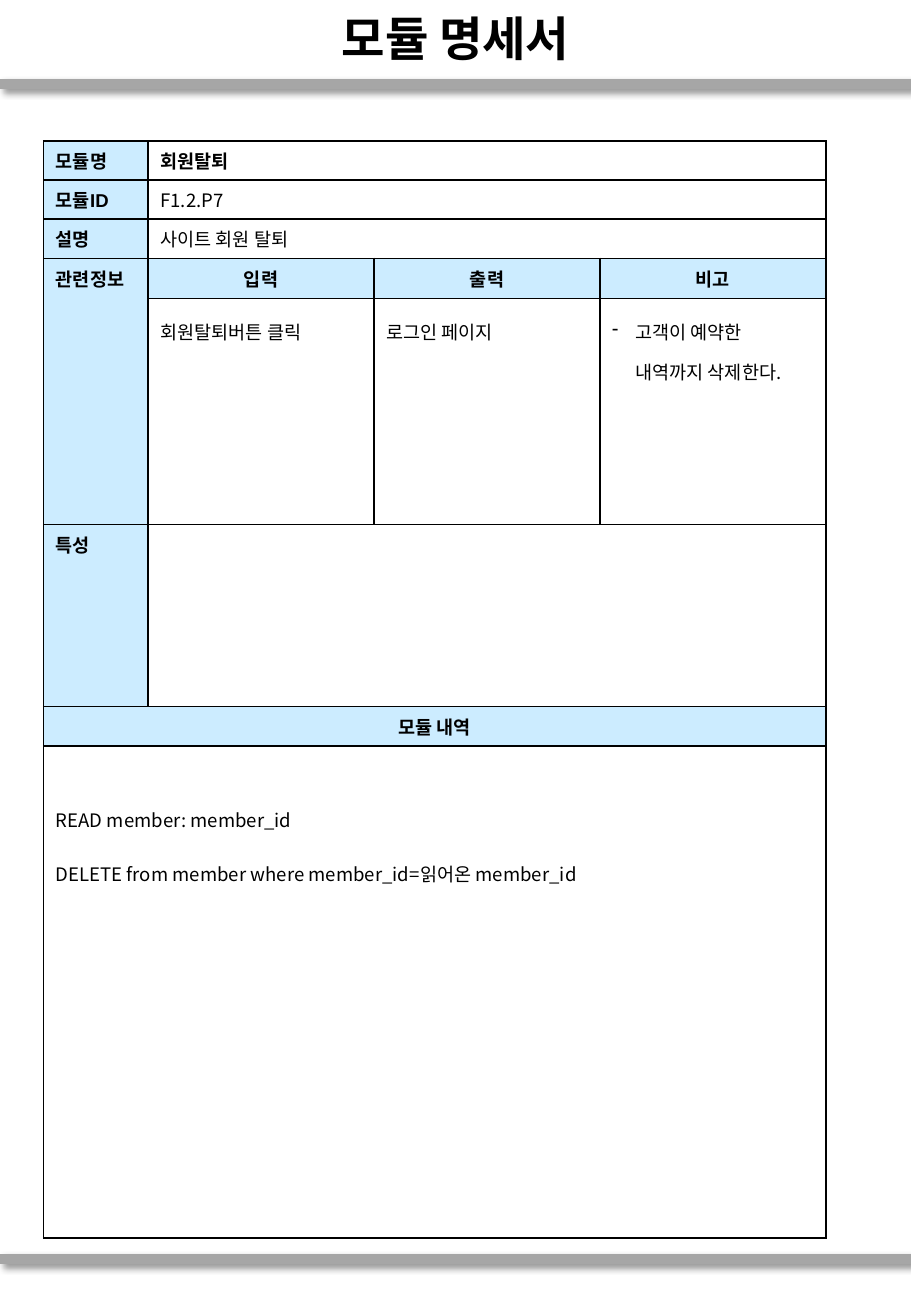
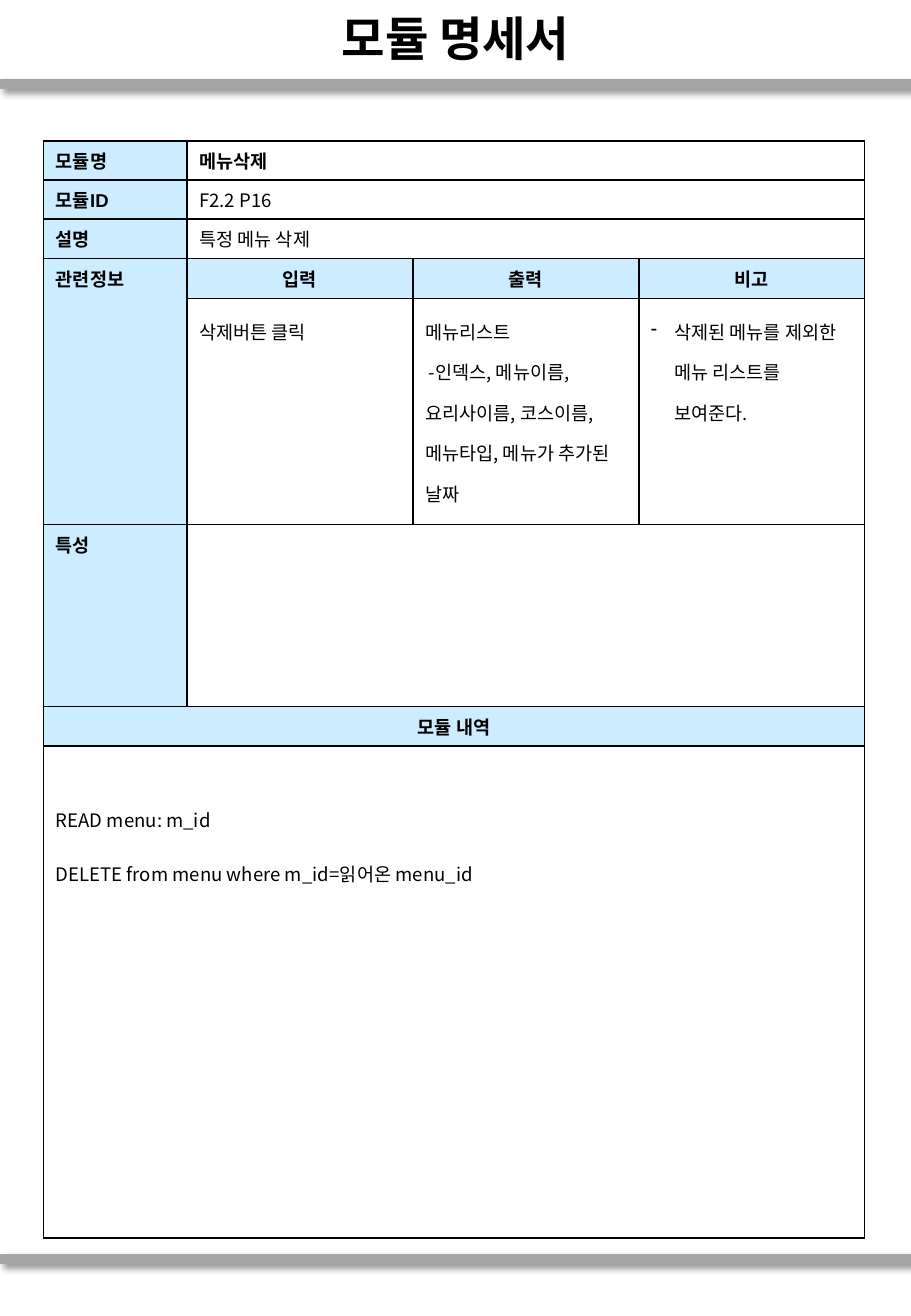
import dataclasses
from typing import Any

import lxml.etree as etree
import pptx
import pptx.dml.color
import pptx.enum.shapes
import pptx.enum.text
import pptx.oxml.ns
import pptx.util

In = pptx.util.Inches
Pt = pptx.util.Pt
qn = pptx.oxml.ns.qn
RGBColor = pptx.dml.color.RGBColor
ALIGN = pptx.enum.text.PP_ALIGN

# Shared look
BLACK = RGBColor(0x00, 0x00, 0x00)
WHITE = RGBColor(0xFF, 0xFF, 0xFF)
GRAY = RGBColor(0xA6, 0xA6, 0xA6)
SKY = RGBColor(0xCC, 0xEC, 0xFF)
KOREAN, LATIN = "Noto Sans CJK KR", "Arial"
WIDTH, HEIGHT = 7.5, 10.83
BAND_TOPS = (0.69, 10.36)

# Table grid
LEFT, TOP = 0.36, 1.16
INFO_WIDTH = 1.86
LINE_ROW = 0.32
ROWS = [LINE_ROW] * 3 + [0.33, 1.86, 1.5, LINE_ROW, 4.05]

# Text formats
TITLE = {"size": Pt(28), "bold": True, "name": KOREAN}
LABEL = {"size": Pt(11), "bold": True, "name": LATIN}
NAME = LABEL | {"name": KOREAN}
BODY = NAME | {"bold": False}


@dataclasses.dataclass
class Line:
    text: str
    spacing: float = 1.0
    indent: float = 0
    bullet: str = ""


@dataclasses.dataclass
class Area:
    row: int
    col: int
    lines: list[Line]
    style: dict[str, Any]
    rows: int = 1
    cols: int = 1
    fill: RGBColor = WHITE
    align: Any = ALIGN.LEFT
    top: float = 0.05


@dataclasses.dataclass
class Module:
    label_width: float
    name: str
    code: str
    summary: str
    source: list[Line]
    result: list[Line]
    remark: str
    steps: list[str]


MODULES = [
    Module(0.86, "회원탈퇴", "F1.2.P7", "사이트 회원 탈퇴",
           [Line("회원탈퇴버튼 클릭", 1.5)],
           [Line("로그인 페이지", 1.5)],
           "고객이 예약한 내역까지 삭제한다.",
           ["READ member: member_id",
            "DELETE from member where member_id=읽어온 member_id"]),
    Module(1.18, "메뉴삭제", "F2.2 P16", "특정 메뉴 삭제",
           [Line("삭제버튼 클릭", 1.5)],
           [Line("메뉴리스트", 1.5),
            Line("-인덱스, 메뉴이름, 요리사이름, 코스이름,메뉴타입, 메뉴가 추가된 날짜",
                 1.5, indent=0.03)],
           "삭제된 메뉴를 제외한 메뉴 리스트를 보여준다.",
           ["READ menu: m_id",
            "DELETE from menu where m_id=읽어온 menu_id"]),
]


def add_node(parent: Any, tag: str, **attrs: Any) -> Any:
    return etree.SubElement(parent, qn(tag), {k: str(v) for k, v in attrs.items()})


def write(p: Any, text: str, style: dict[str, Any]) -> None:
    r = p.add_run()
    r.text = text
    for key, value in style.items():
        setattr(r.font, key, value)
    r.font.color.rgb = BLACK
    add_node(r.font._element, "a:ea", typeface=KOREAN)


def set_indent(p: Any, line: Line) -> None:
    pPr = p._p.get_or_add_pPr()
    if line.bullet:
        pPr.set("marL", str(In(-line.indent)))
        add_node(pPr, "a:buChar", char=line.bullet)
    pPr.set("indent", str(In(line.indent)))


def add_band(slide: Any, layout: Any, y: float, shape_id: int) -> None:
    """Draw a shadowed rule and move it to the layout."""
    c = slide.shapes.add_connector(
        pptx.enum.shapes.MSO_CONNECTOR.STRAIGHT, 0, In(y), In(WIDTH), In(y))
    c.line.color.rgb = GRAY
    c.line.width = Pt(6)
    effects = add_node(c.element.spPr, "a:effectLst")
    shadow = add_node(effects, "a:outerShdw", blurRad=Pt(4), dist=Pt(3),
                      dir=45 * 60000, algn="tl", rotWithShape=0)
    add_node(add_node(shadow, "a:srgbClr", val=BLACK), "a:alpha", val=40000)
    c.element.nvCxnSpPr.cNvPr.set("id", str(shape_id))
    layout.shapes.element.append(c.element)


def frame_cell(cell: Any) -> None:
    tcPr = cell._tc.get_or_add_tcPr()
    for side in ("L", "R", "T", "B"):
        border = add_node(tcPr, f"a:ln{side}", w=Pt(1))
        add_node(add_node(border, "a:solidFill"), "a:srgbClr", val=BLACK)
    cell.fill.solid()
    cell.fill.fore_color.rgb = WHITE
    add_node(cell.text_frame.paragraphs[0]._p, "a:endParaRPr", sz=1100)


def fill_area(table: Any, area: Area) -> None:
    cell = table.cell(area.row, area.col)
    if area.rows * area.cols > 1:
        cell.merge(table.cell(area.row + area.rows - 1, area.col + area.cols - 1))
    cell.fill.fore_color.rgb = area.fill
    cell.margin_top = In(area.top)
    tf = cell.text_frame
    for i, line in enumerate(area.lines):
        p = tf.add_paragraph() if i else tf.paragraphs[0]
        p.alignment = area.align
        p.line_spacing = line.spacing
        if line.indent:
            set_indent(p, line)
        write(p, line.text, area.style)


def module_areas(m: Module) -> list[Area]:
    areas = []
    # Name, number and summary
    heads = [("모듈명", m.name, NAME), ("모듈ID", m.code, BODY), ("설명", m.summary, BODY)]
    for row, (label, value, style) in enumerate(heads):
        areas += [Area(row, 0, [Line(label)], LABEL, fill=SKY),
                  Area(row, 1, [Line(value)], style, cols=3)]
    # Related information
    areas.append(Area(3, 0, [Line("관련정보")], LABEL, rows=2, fill=SKY))
    remark = [Line(m.remark, 1.5, indent=-0.19, bullet="-")]
    infos = [("입력", m.source), ("출력", m.result), ("비고", remark)]
    for col, (label, lines) in enumerate(infos, start=1):
        areas += [Area(3, col, [Line(label)], LABEL, fill=SKY, align=ALIGN.CENTER),
                  Area(4, col, lines, BODY)]
    # Traits and steps
    areas += [
        Area(5, 0, [Line("특성")], LABEL, fill=SKY),
        Area(5, 1, [], BODY, cols=3),
        Area(6, 0, [Line("모듈 내역")], LABEL, cols=4, fill=SKY, align=ALIGN.CENTER),
        Area(7, 0, [Line(s, 2.0) for s in m.steps], BODY, cols=4, top=0.27),
    ]
    return areas


def add_module(slide: Any, m: Module) -> None:
    p = slide.shapes.title.text_frame.paragraphs[0]
    p.alignment = ALIGN.CENTER
    write(p, "모듈 명세서", TITLE)

    cols = [m.label_width] + [INFO_WIDTH] * 3
    table = slide.shapes.add_table(len(ROWS), len(cols), In(LEFT), In(TOP),
                                   In(sum(cols)), In(sum(ROWS))).table
    table.first_row = table.horz_banding = False
    for column, width in zip(table.columns, cols):
        column.width = In(width)
    for row, height in zip(table.rows, ROWS):
        row.height = In(height)
    for cell in table.iter_cells():
        frame_cell(cell)
    for area in module_areas(m):
        fill_area(table, area)


def main() -> None:
    prs = pptx.Presentation()
    prs.slide_width, prs.slide_height = In(WIDTH), In(HEIGHT)
    layout = prs.slide_layouts[5]

    # Shared title place and bands
    title = layout.placeholders[0]
    title.left, title.top, title.width, title.height = 0, In(0.01), In(WIDTH), In(0.6)
    slides = [prs.slides.add_slide(layout) for _ in MODULES]
    for i, y in enumerate(BAND_TOPS):
        add_band(slides[0], layout, y, 20 + i)

    for slide, m in zip(slides, MODULES):
        add_module(slide, m)
    prs.save("out.pptx")


if __name__ == "__main__":
    main()
